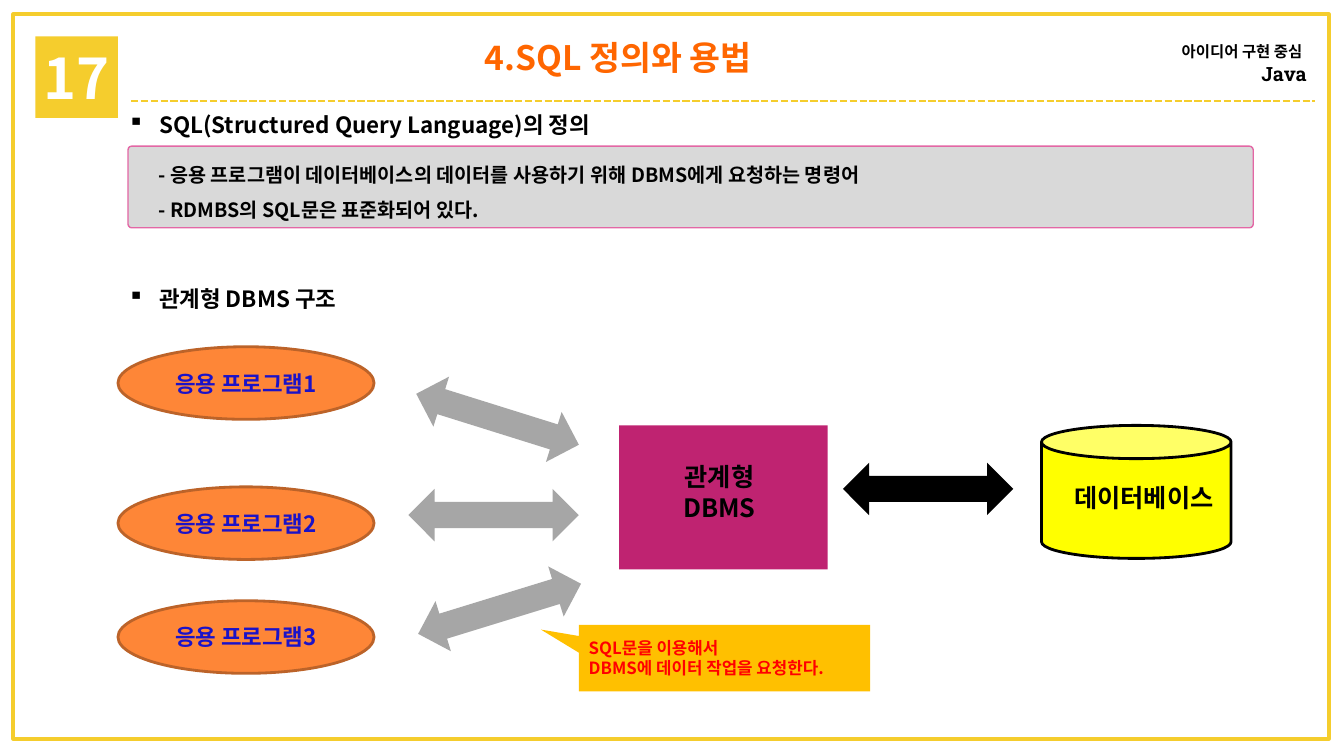
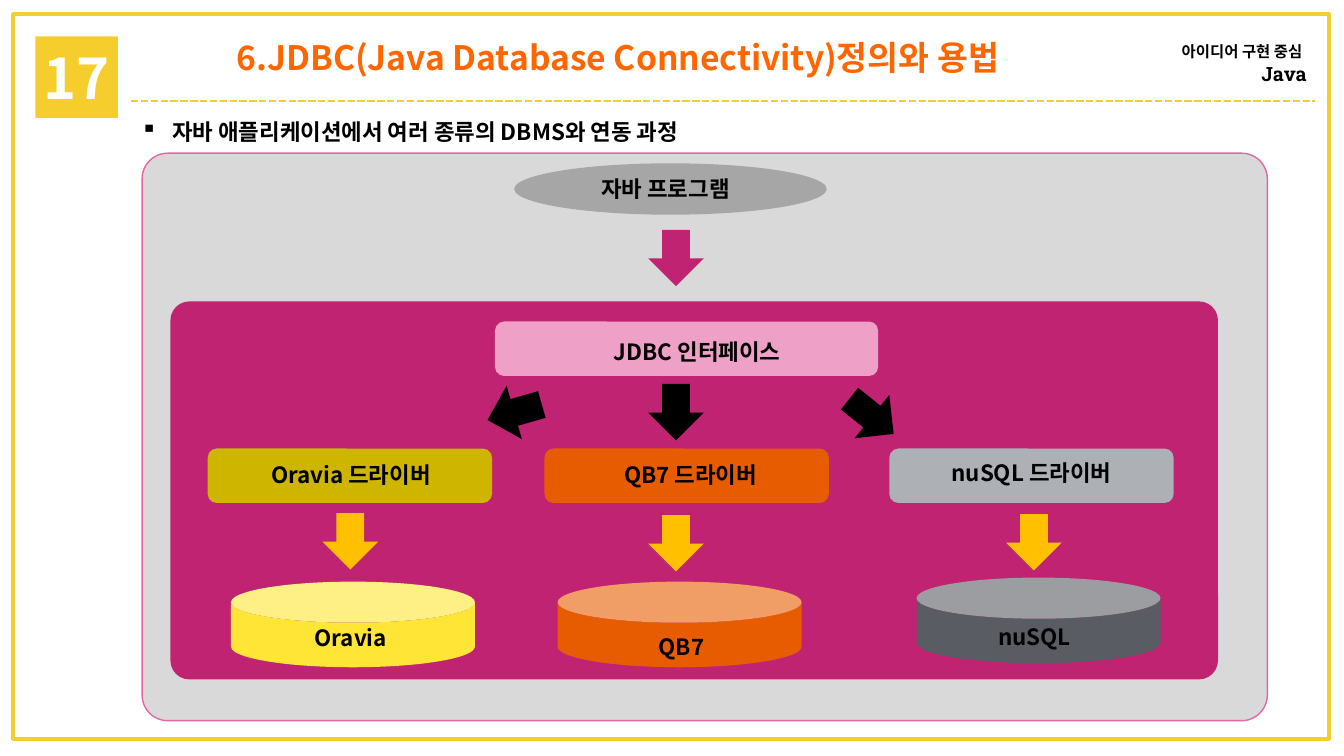
from lxml import etree
from pptx import Presentation
from pptx.dml.color import RGBColor
from pptx.enum.dml import MSO_LINE
from pptx.enum.shapes import MSO_CONNECTOR, MSO_SHAPE
from pptx.enum.text import MSO_ANCHOR, MSO_AUTO_SIZE, PP_ALIGN
from pptx.oxml.ns import qn
from pptx.util import Inches, Pt

RECTANGLE = MSO_SHAPE.RECTANGLE
ROUNDED = MSO_SHAPE.ROUNDED_RECTANGLE
ELLIPSE = MSO_SHAPE.OVAL
CAN = MSO_SHAPE.CAN
CALLOUT = MSO_SHAPE.RECTANGULAR_CALLOUT
DOUBLE_ARROW = MSO_SHAPE.LEFT_RIGHT_ARROW
DOWN_ARROW = MSO_SHAPE.DOWN_ARROW
STRAIGHT = MSO_CONNECTOR.STRAIGHT
DASH = MSO_LINE.SQUARE_DOT
LEFT, CENTER, RIGHT = PP_ALIGN.LEFT, PP_ALIGN.CENTER, PP_ALIGN.RIGHT
TOP, MIDDLE = MSO_ANCHOR.TOP, MSO_ANCHOR.MIDDLE
FIT_TEXT, NO_FIT = MSO_AUTO_SIZE.SHAPE_TO_FIT_TEXT, MSO_AUTO_SIZE.NONE

FONT = "Noto Sans CJK KR"
SLAB_FONT = "Roboto Slab"
COLORS = {
    "frame": "F5CD2D", "white": "FFFFFF", "black": "000000", "title": "FF6600",
    "panel": "D9D9D9", "panel_line": "E367A5", "magenta": "BF2371", "pink": "EEA0C7",
    "program": "FE8637", "program_line": "BC6329", "program_text": "1B12C8",
    "gray": "A6A6A6", "yellow": "FFFF00", "amber": "FFC000", "red": "FF0000",
    "olive": "CEB500", "lemon": "FFE636", "orange": "E75C01",
    "silver": "ADB0B5", "slate": "595D63",
}


def color(name):
    """Return the named palette colour."""
    return RGBColor.from_string(COLORS[name])


def add_run(paragraph, text, size, ink="black", bold=True, font=FONT):
    """Append one formatted run, with the same face for Latin and Korean."""
    run = paragraph.add_run()
    run.text = text
    run.font.size = Pt(size)
    run.font.bold = bold
    run.font.name = font
    run.font.color.rgb = color(ink)
    east_asian = etree.Element(qn("a:ea"), typeface=font)
    run.font._element.find(qn("a:latin")).addnext(east_asian)


def write(shape, lines, size, ink="black", align=CENTER, anchor=MIDDLE, spacing=None):
    """Write each line as a paragraph in the shape."""
    frame = shape.text_frame
    frame.word_wrap = True
    frame.vertical_anchor = anchor
    for index, line in enumerate(lines):
        paragraph = frame.add_paragraph() if index else frame.paragraphs[0]
        paragraph.alignment = align
        if spacing:
            paragraph.line_spacing = spacing
        add_run(paragraph, line, size, ink)


def place(shape, box):
    """Move and size a shape to left, top, width and height in inches."""
    shape.left, shape.top, shape.width, shape.height = map(Inches, box)


def add_box(slide, kind, box, fill=None, line=None, width=1, adjust=(), rotation=0):
    """Add a flat preset shape."""
    shape = slide.shapes.add_shape(kind, *map(Inches, box))
    shape.shadow.inherit = False
    shape.rotation = rotation
    for index, value in enumerate(adjust):
        shape.adjustments[index] = value
    if fill:
        shape.fill.solid()
        shape.fill.fore_color.rgb = color(fill)
    else:
        shape.fill.background()
    if line:
        shape.line.color.rgb = color(line)
        shape.line.width = Pt(width)
    else:
        shape.line.fill.background()
    return shape


def add_label(slide, box, lines, size=16, align=CENTER, spacing=None):
    """Add a text box that starts at its top edge."""
    label = slide.shapes.add_textbox(*map(Inches, box))
    write(label, lines, size, align=align, anchor=TOP, spacing=spacing)
    label.text_frame.auto_size = FIT_TEXT
    return label


def add_heading(slide, box, text):
    """Add a section heading with a square bullet."""
    heading = add_label(slide, box, [text], align=LEFT)
    properties = heading.text_frame.paragraphs[0]._p.get_or_add_pPr()
    properties.set("marL", str(Inches(0.31)))
    properties.set("indent", str(-Inches(0.31)))
    etree.SubElement(properties, qn("a:buChar"), char="▪")


def add_rule(slide):
    """Add the dashed line under the title."""
    rule = slide.shapes.add_connector(
        STRAIGHT, Inches(1.3), Inches(1), Inches(13.04), Inches(1))
    rule.line.color.rgb = color("frame")
    rule.line.width = Pt(1.75)
    rule.line.dash_style = DASH
    etree.SubElement(rule._element.spPr, qn("a:effectLst"))


def add_course_name(slide):
    """Add the course name at the top right."""
    label = slide.shapes.add_textbox(*map(Inches, (11.09, 0.33, 1.97, 0.57)))
    frame = label.text_frame
    frame.word_wrap = True
    subtitle, language = frame.paragraphs[0], frame.add_paragraph()
    subtitle.alignment = language.alignment = RIGHT
    add_run(subtitle, "아이디어 구현 중심", 11)
    add_run(subtitle, " ", 14, bold=False)
    add_run(language, "Java", 14, font=SLAB_FONT)


def start_slide(presentation, title_text):
    """Add a slide with the shared frame, badge, rule and title."""
    slide = presentation.slides.add_slide(presentation.slide_layouts[5])
    add_box(slide, RECTANGLE, (0.13, 0.14, 13.05, 7.19), line="frame", width=2.5)
    badge = add_box(slide, RECTANGLE, (0.35, 0.36, 0.82, 0.81), "frame")
    badge.text_frame.margin_left = badge.text_frame.margin_right = 0
    badge.text_frame.margin_top = badge.text_frame.margin_bottom = 0
    write(badge, ["17"], 40, "white")
    add_rule(slide)
    add_course_name(slide)
    title = slide.shapes.title
    place(title, (1.43, 0.32, 9.4, 0.5))
    write(title, [title_text], 24, "title", anchor=TOP)
    title.text_frame.auto_size = NO_FIT
    return slide


def build_sql_slide(presentation):
    """Build the slide on SQL and the structure of a relational DBMS."""
    slide = start_slide(presentation, "4.SQL 정의와 용법")
    add_heading(slide, (1.17, 1.05, 5.68, 0.37), "SQL(Structured Query Language)의 정의")
    add_box(slide, ROUNDED, (1.27, 1.45, 11.16, 0.81), "panel", "panel_line", adjust=[0.045])
    add_label(slide, (1.43, 1.45, 10.51, 0.81), [
        " - 응용 프로그램이 데이터베이스의 데이터를 사용하기 위해 DBMS에게 요청하는 명령어",
        " - RDMBS의 SQL문은 표준화되어 있다.",
    ], 14, LEFT, 1.5)
    add_heading(slide, (1.17, 2.78, 5.27, 0.37), "관계형 DBMS 구조")

    add_box(slide, RECTANGLE, (6.14, 4.22, 2.07, 1.43), "magenta")
    add_label(slide, (5.84, 4.53, 2.59, 0.71), ["관계형", "DBMS"], 18)
    for number, top in enumerate((3.44, 4.83, 5.96), 1):
        program = add_box(slide, ELLIPSE, (1.17, top, 2.54, 0.72),
                          "program", "program_line", 2)
        write(program, [f"응용 프로그램{number}"], 16, "program_text")

    add_box(slide, CAN, (10.33, 4.22, 1.88, 1.32), "yellow", "black", 2)
    add_label(slide, (10.05, 4.74, 2.59, 0.4), ["데이터베이스"], 18)
    for left, top, rotation, fill in (
        (4.09, 3.9, 17.4, "gray"),
        (4.05, 4.85, 0, "gray"),
        (4.11, 5.78, -17.1, "gray"),
        (8.36, 4.59, 0, "black"),
    ):
        add_box(slide, DOUBLE_ARROW, (left, top, 1.69, 0.52), fill, rotation=rotation)

    callout = add_box(slide, CALLOUT, (5.74, 6.2, 2.89, 0.66), "amber",
                      adjust=[-0.63, -0.43])
    write(callout, ["SQL문을 이용해서", "DBMS에 데이터 작업을 요청한다."], 12, "red", LEFT)


def add_down_arrow(slide, left, top, fill, rotation=0):
    """Add a block arrow of the common size."""
    add_box(slide, DOWN_ARROW, (left, top, 0.55, 0.56), fill, rotation=rotation)


def add_driver(slide, name, driver, arrow, store):
    """Add a driver box, its arrow and the database below it."""
    driver_left, driver_fill, label_left, label_top = driver
    add_box(slide, ROUNDED, (driver_left, 4.45, 2.82, 0.54), driver_fill)
    add_label(slide, (label_left, label_top, 2.28, 0.37), [f"{name} 드라이버"])
    add_down_arrow(slide, *arrow, "amber")
    store_left, store_top, store_fill, name_left, name_top = store
    add_box(slide, CAN, (store_left, store_top, 2.42, 0.85), store_fill, adjust=[0.48])
    add_label(slide, (name_left, name_top, 2.28, 0.37), [name])


def build_jdbc_slide(presentation):
    """Build the slide on JDBC and its database drivers."""
    slide = start_slide(presentation, "6.JDBC(Java Database Connectivity)정의와 용법")
    add_heading(slide, (1.3, 1.12, 7.61, 0.37),
                "자바 애플리케이션에서 여러 종류의 DBMS와 연동 과정")
    add_box(slide, ROUNDED, (1.41, 1.52, 11.16, 5.63), "panel", "panel_line", adjust=[0.045])
    add_box(slide, ROUNDED, (1.69, 2.99, 10.39, 3.75), "magenta", adjust=[0.05])
    add_box(slide, ELLIPSE, (5.1, 1.62, 3.1, 0.51), "gray")
    add_label(slide, (4.49, 1.69, 4.22, 0.37), ["자바 프로그램"])
    add_down_arrow(slide, 6.43, 2.28, "magenta")
    add_box(slide, ROUNDED, (4.91, 3.19, 3.8, 0.54), "pink")
    add_label(slide, (5.38, 3.31, 3.07, 0.37), ["JDBC 인터페이스"])
    for left, top, rotation in ((4.83, 3.81, 74.1), (6.43, 3.81, 0), (8.37, 3.85, -51.4)):
        add_down_arrow(slide, left, top, "black", rotation)

    add_driver(slide, "Oravia", (2.06, "olive", 2.34, 4.53), (3.2, 5.09),
               (2.29, 5.77, "lemon", 2.34, 6.14))
    add_driver(slide, "QB7", (5.4, "orange", 5.71, 4.53), (6.43, 5.11),
               (5.53, 5.77, "orange", 5.62, 6.23))
    add_driver(slide, "nuSQL", (8.82, "silver", 9.09, 4.51), (9.98, 5.1),
               (9.09, 5.73, "slate", 9.12, 6.13))


def main():
    """Build and save the presentation."""
    presentation = Presentation()
    presentation.slide_width = Inches(13.33)
    presentation.slide_height = Inches(7.5)
    build_sql_slide(presentation)
    build_jdbc_slide(presentation)
    presentation.save("out.pptx")


if __name__ == "__main__":
    main()
